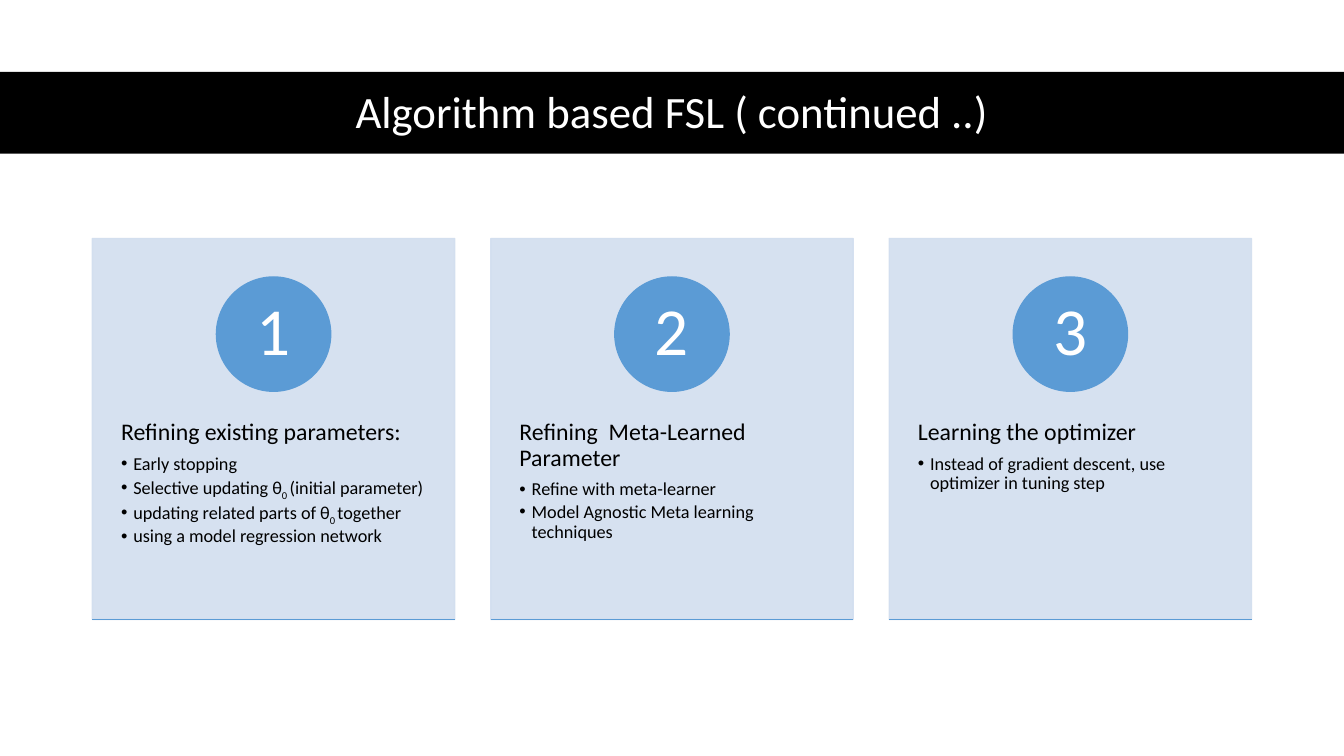
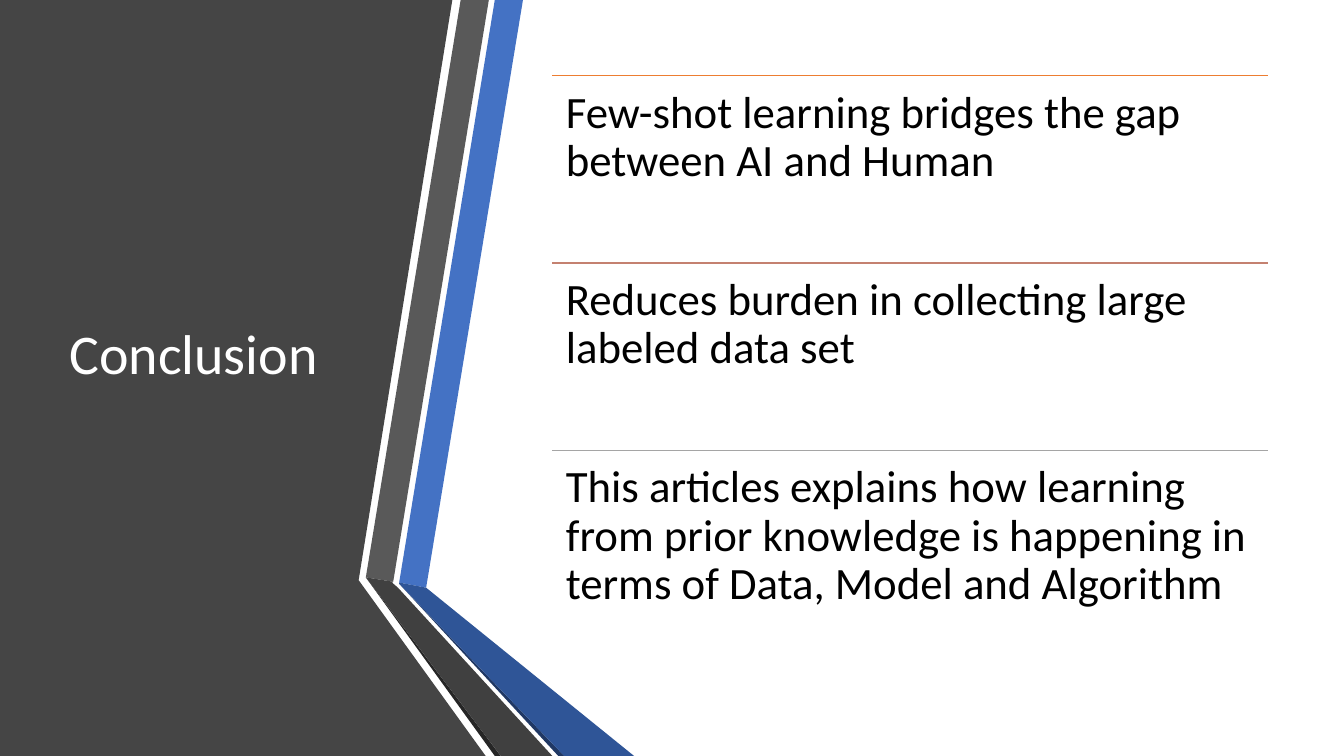
"""Build two slides on few-shot learning: algorithm cards and a conclusion."""
from dataclasses import dataclass
from typing import Any, NamedTuple

from lxml.etree import SubElement
from pptx import Presentation
from pptx.dml.color import RGBColor
from pptx.enum.shapes import MSO_CONNECTOR as Connector, MSO_SHAPE as Preset
from pptx.enum.text import MSO_ANCHOR as Anchor, MSO_AUTO_SIZE as AutoSize, PP_ALIGN as Align
from pptx.oxml.ns import qn
from pptx.util import Cm, Pt

PAGE_WIDTH, PAGE_HEIGHT = 33.87, 19.05


@dataclass(frozen=True)
class Theme:
    font: str = "Calibri"
    black: str = "000000"
    white: str = "FFFFFF"
    card: str = "D2DEEF"
    accent: str = "5B9BD5"
    panel: str = "454545"
    ribbon_blue: str = "4472C4"
    ribbon_grey: str = "595959"
    fold_grey: str = "404040"
    fold_grey_edge: str = "262626"
    fold_blue: str = "2F5597"
    fold_blue_edge: str = "203864"
    rules: tuple[str, ...] = ("ED7D31", "C48170", "A5A5A5")
    band_title: int = 32
    side_title: int = 40
    statement: int = 32
    heading: int = 17
    item: int = 13
    number: int = 48


THEME = Theme()


class Area(NamedTuple):
    left: float
    top: float
    width: float
    height: float


class Style(NamedTuple):
    size: int
    color: str = THEME.black
    align: Align = Align.LEFT
    after: float = 0
    bullet: bool = False


class Line(NamedTuple):
    style: Style
    spans: tuple[str, ...]


class Card(NamedTuple):
    heading: str
    items: tuple[tuple[str, ...], ...]


class Facet(NamedTuple):
    color: str
    points: tuple[tuple[float, float], ...]


HEADING = Style(THEME.heading, after=6)
ITEM = Style(THEME.item, after=2, bullet=True)
STATEMENT = Style(THEME.statement)
NUMBER = Style(THEME.number, THEME.white, Align.CENTER)
BAND_TITLE = Style(THEME.band_title, THEME.white, Align.CENTER)
SIDE_TITLE = Style(THEME.side_title, THEME.white)

CARDS = (
    Card("Refining existing parameters:", (
        ("Early stopping",),
        ("Selective updating θ", "0 ", "(initial parameter)"),
        ("updating related parts of θ", "0 ", "together"),
        ("using a model regression network",),
    )),
    Card("Refining  Meta-Learned Parameter", (
        ("Refine with meta-learner",),
        ("Model Agnostic Meta learning techniques",),
    )),
    Card("Learning the optimizer", (
        ("Instead of gradient descent, use optimizer in tuning step",),
    )),
)

STATEMENTS = (
    "Few-shot learning bridges the gap between AI and Human",
    "Reduces burden in collecting large labeled data set",
    "This articles explains how learning from prior knowledge is happening "
    "in terms of Data, Model and Algorithm",
)

FACETS = (
    Facet(THEME.panel, ((8.97, 0), (11.4, 0), (9.04, 14.62), (12.24, PAGE_HEIGHT),
                        (0, PAGE_HEIGHT), (0, 0))),
    Facet(THEME.ribbon_blue, ((10.06, 14.68), (10.74, 14.81), (13.18, 0), (12.47, 0))),
    Facet(THEME.ribbon_grey, ((12.32, 0), (11.61, 0), (9.22, 14.55), (9.91, 14.66))),
    Facet(THEME.fold_grey_edge, ((9.22, 14.55), (12.47, PAGE_HEIGHT), (12.62, PAGE_HEIGHT))),
    Facet(THEME.fold_blue_edge, ((10.06, 14.71), (14.07, PAGE_HEIGHT), (14.22, PAGE_HEIGHT))),
    Facet(THEME.fold_blue, ((10.06, 14.71), (14.22, PAGE_HEIGHT), (15.98, PAGE_HEIGHT),
                            (10.74, 14.81), (10.06, 14.68))),
    Facet(THEME.fold_grey, ((13.92, PAGE_HEIGHT), (10.03, 14.81), (9.88, 14.68),
                            (9.91, 14.66), (9.22, 14.55), (12.62, PAGE_HEIGHT))),
)


def assign(target: Any, values: dict[str, Any]) -> None:
    """Set each named attribute of the target."""
    for name, value in values.items():
        setattr(target, name, value)


def lengths(area: Area) -> dict[str, Cm]:
    """Return the area's position and size as lengths."""
    return {name: Cm(value) for name, value in area._asdict().items()}


def paint(shape: Any, color: str, outlined: bool = False) -> None:
    """Give a shape a flat fill and an optional matching outline."""
    shape.shadow.inherit = False
    shape.fill.solid()
    shape.fill.fore_color.rgb = RGBColor.from_string(color)
    if outlined:
        shape.line.color.rgb = RGBColor.from_string(color)
        shape.line.width = Pt(1)
    else:
        shape.line.fill.background()


def add_preset(page: Any, preset: Preset, area: Area, color: str, outlined: bool = False) -> Any:
    """Draw a painted preset shape."""
    shape = page.shapes.add_shape(preset, *lengths(area).values())
    paint(shape, color, outlined)
    return shape


def add_rule(page: Any, left: float, top: float, width: float, color: str) -> None:
    """Draw a thin horizontal line."""
    rule = page.shapes.add_connector(
        Connector.STRAIGHT, Cm(left), Cm(top), Cm(left + width), Cm(top))
    rule.line.color.rgb = RGBColor.from_string(color)
    rule.line.width = Pt(1)
    SubElement(rule.element.spPr, qn("a:effectLst"))


def add_facet(page: Any, facet: Facet) -> None:
    """Draw one filled polygon."""
    start, *others = [(Cm(x), Cm(y)) for x, y in facet.points]
    builder = page.shapes.build_freeform(*start, scale=1.0)
    builder.add_line_segments(others, close=True)
    paint(builder.convert_to_shape(), facet.color)


def set_bullet(para: Any, bullet: bool) -> None:
    """Turn a paragraph's bullet on or off and set its indent."""
    para.level = int(bullet)
    properties = para._p.get_or_add_pPr()
    indent = Cm(0.31) if bullet else 0
    properties.set("marL", str(indent))
    properties.set("indent", str(-indent))
    if bullet:
        SubElement(properties, qn("a:buChar"), char="•")
    else:
        SubElement(properties, qn("a:buNone"))


def write(box: Any, lines: list[Line], anchor: Anchor = Anchor.TOP,
          margins: tuple[float, float] = (0.25, 0.13)) -> None:
    """Fill a shape with styled lines, every second span being a subscript."""
    frame = box.text_frame
    across, down = (Cm(margin) for margin in margins)
    assign(frame, {"word_wrap": True, "auto_size": AutoSize.NONE, "vertical_anchor": anchor,
                   "margin_left": across, "margin_right": across,
                   "margin_top": down, "margin_bottom": down})
    for number, (style, spans) in enumerate(lines):
        para = frame.add_paragraph() if number else frame.paragraphs[0]
        assign(para, {"alignment": style.align, "line_spacing": 0.9,
                      "space_before": Pt(0), "space_after": Pt(style.after)})
        set_bullet(para, style.bullet)
        for position, text in enumerate(spans):
            span = para.add_run()
            span.text = text
            assign(span.font, {"name": THEME.font, "size": Pt(style.size), "bold": False})
            span.font.color.rgb = RGBColor.from_string(style.color)
            if position % 2:
                span._r.get_or_add_rPr().set("baseline", "-25000")


def place(box: Any, area: Area) -> None:
    """Move a placeholder to an area and in front of what is drawn."""
    assign(box, lengths(area))
    box.element.getparent().append(box.element)


def add_page(deck: Any) -> tuple[Any, list[Any]]:
    """Add a slide with a title and three bodies, and return its bodies."""
    page = deck.slides.add_slide(deck.slide_layouts.get_by_name("Comparison"))
    _, *bodies, spare = page.placeholders
    spare.element.getparent().remove(spare.element)
    return page, bodies


def set_title(page: Any, text: str, area: Area, style: Style) -> None:
    """Write the slide title."""
    title = page.shapes.title
    place(title, area)
    write(title, [Line(style, (text,))], Anchor.MIDDLE)


def add_card(page: Any, body: Any, number: int, card: Card) -> None:
    """Draw a numbered card with its heading and list."""
    width, height, pitch, circle = 9.13, 9.6, 10.04, 2.88
    left, top = 2.33 + (number - 1) * pitch, 6.01
    panel = add_preset(page, Preset.RECTANGLE, Area(left, top, width, height), THEME.card, True)
    for color in panel.element.spPr.iter(qn("a:srgbClr")):
        SubElement(color, qn("a:alpha"), val="90000")
    badge = add_preset(page, Preset.OVAL,
                       Area(left + (width - circle) / 2, 6.98, circle, circle),
                       THEME.accent, True)
    write(badge, [Line(NUMBER, (str(number),))], Anchor.MIDDLE, (0, 0))
    add_rule(page, left, top + height, width, THEME.accent)
    place(body, Area(left, 9.68, width, 5.77))
    write(body, [Line(HEADING, (card.heading,)), *(Line(ITEM, spans) for spans in card.items)],
          margins=(0.72, 0.91))


def build_algorithm_page(deck: Any) -> None:
    """Build the slide with the title band and three cards."""
    page, bodies = add_page(deck)
    add_preset(page, Preset.RECTANGLE, Area(0, 1.81, PAGE_WIDTH, 2.06), THEME.black)
    set_title(page, "Algorithm based FSL ( continued ..)", Area(2.33, 1.88, 29.21, 1.98),
              BAND_TITLE)
    for number, (body, card) in enumerate(zip(bodies, CARDS), 1):
        add_card(page, body, number, card)


def build_conclusion_page(deck: Any) -> None:
    """Build the slide with the folded side panel and three statements."""
    page, bodies = add_page(deck)
    for facet in FACETS:
        add_facet(page, facet)
    set_title(page, "Conclusion", Area(1.5, 1.9, 7.72, 14.18), SIDE_TITLE)
    left, top, width, pitch = 13.92, 1.91, 18.03, 4.72
    for row, (body, text, color) in enumerate(zip(bodies, STATEMENTS, THEME.rules)):
        row_top = top + row * pitch
        add_rule(page, left, row_top, width, color)
        place(body, Area(left, row_top, width, pitch))
        write(body, [Line(STATEMENT, (text,))], margins=(0.34, 0.34))


def main() -> None:
    """Build and save the deck."""
    deck = Presentation()
    assign(deck, {"slide_width": Cm(PAGE_WIDTH), "slide_height": Cm(PAGE_HEIGHT)})
    build_algorithm_page(deck)
    build_conclusion_page(deck)
    deck.save("out.pptx")


if __name__ == "__main__":
    main()
